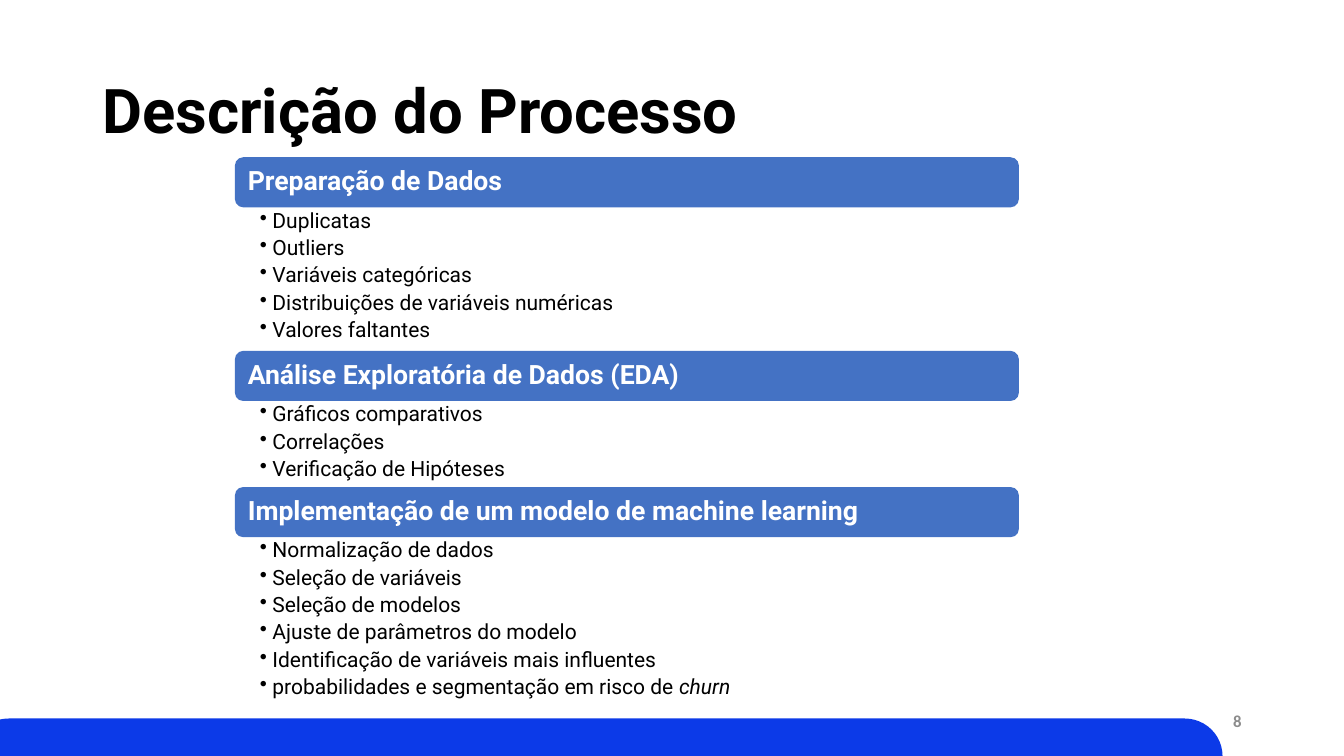
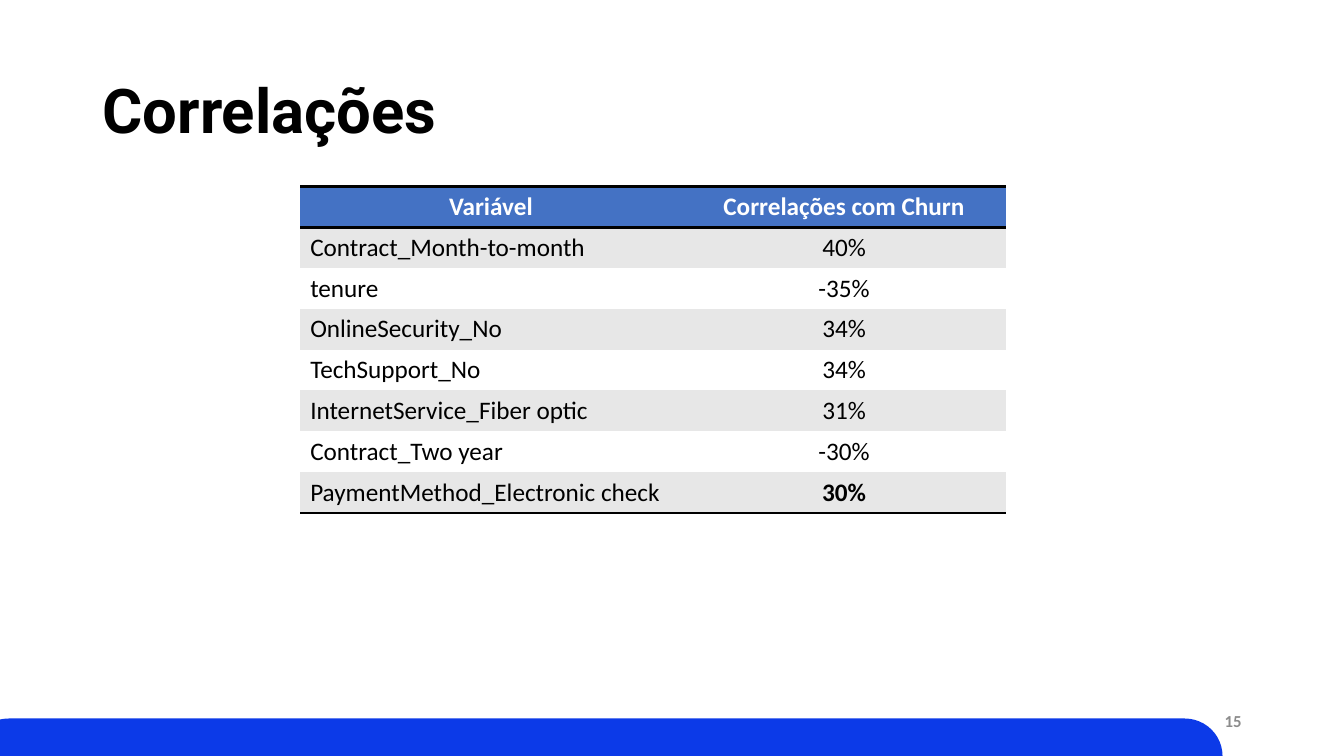
from lxml.etree import SubElement
from pptx import Presentation
from pptx.dml.color import RGBColor
from pptx.enum.shapes import MSO_SHAPE
from pptx.enum.text import MSO_ANCHOR, MSO_AUTO_SIZE, PP_ALIGN
from pptx.oxml import parse_xml
from pptx.oxml.ns import nsdecls, qn
from pptx.util import Pt

BLACK, WHITE, GREY = "000000", "FFFFFF", "8C8C8C"
BAND_BLUE, HEADER_BLUE, ROW_GREY = "0C3AE8", "4472C4", "E7E7E7"
HEADING_FONT, TABLE_FONT = "Roboto", "Calibri"
NO_TABLE_STYLE = "{2D5ABB26-0587-4C30-8999-92F81FD0307C}"

# Each step: heading, then bullets; a bullet is (plain text, italic ending).
STEPS = [
    ("Preparação de Dados", [
        ("Duplicatas", ""),
        ("Outliers", ""),
        ("Variáveis categóricas", ""),
        ("Distribuições de variáveis numéricas", ""),
        ("Valores faltantes", ""),
    ]),
    ("Análise Exploratória de Dados (EDA)", [
        ("Gráficos comparativos", ""),
        ("Correlações", ""),
        ("Verificação de Hipóteses", ""),
    ]),
    ("Implementação de um modelo de machine learning", [
        ("Normalização de dados", ""),
        ("Seleção de variáveis", ""),
        ("Seleção de modelos", ""),
        ("Ajuste de parâmetros do modelo", ""),
        ("Identificação de variáveis mais influentes", ""),
        ("probabilidades e segmentação em risco de ", "churn"),
    ]),
]
CORRELATIONS = [
    ("Variável", "Correlações com Churn"),
    ("Contract_Month-to-month", "40%"),
    ("tenure", "-35%"),
    ("OnlineSecurity_No", "34%"),
    ("TechSupport_No", "34%"),
    ("InternetService_Fiber optic", "31%"),
    ("Contract_Two year", "-30%"),
    ("PaymentMethod_Electronic check", "30%"),
]

STEP_LEFT, STEP_TOP, STEP_WIDTH = 167.8, 112.3, 560
STEP_HEADER_HEIGHT, BULLET_HEIGHT = 35.8, 20.5
TABLE_LEFT, TABLE_TOP, ROW_HEIGHT = 214.4, 133.2, 29.15
COLUMN_WIDTHS = (272.6, 231.8)


def color(hex_code):
    return RGBColor.from_string(hex_code)


def set_font(para, name, size, hex_code, bold=False):
    para.font.name = name
    para.font.size = Pt(size)
    para.font.bold = bold
    para.font.color.rgb = color(hex_code)


def set_margins(frame, left, top, right, bottom):
    frame.margin_left, frame.margin_top = Pt(left), Pt(top)
    frame.margin_right, frame.margin_bottom = Pt(right), Pt(bottom)


def add_round_box(page, left, top, width, height, fill):
    box = page.shapes.add_shape(MSO_SHAPE.ROUNDED_RECTANGLE,
                                Pt(left), Pt(top), Pt(width), Pt(height))
    box.shadow.inherit = False
    box.fill.solid()
    box.fill.fore_color.rgb = color(fill)
    box.line.fill.background()
    return box


def add_text_box(page, left, top, width, height):
    box = page.shapes.add_textbox(Pt(left), Pt(top), Pt(width), Pt(height))
    box.text_frame.word_wrap = True
    return box.text_frame


def add_page(deck, title_text, number):
    """Add a slide with the shared band, title and page number."""
    page = deck.slides.add_slide(deck.slide_layouts[5])
    band = add_round_box(page, -20.9, 513.2, 894.2, 54, BAND_BLUE)
    band.adjustments[0] = 0.5

    title = page.shapes.title
    title.left, title.top, title.width, title.height = Pt(66), Pt(28.8), Pt(828), Pt(104.4)
    title.text_frame.text = title_text
    title.text_frame.auto_size = MSO_AUTO_SIZE.NONE
    title.text_frame.vertical_anchor = MSO_ANCHOR.MIDDLE
    para = title.text_frame.paragraphs[0]
    para.alignment = PP_ALIGN.LEFT
    para.line_spacing = 0.9
    set_font(para, HEADING_FONT, 44, BLACK, bold=True)

    frame = add_text_box(page, 678, 500.5, 216, 28.8)
    frame.vertical_anchor = MSO_ANCHOR.MIDDLE
    para = frame.paragraphs[0]
    para.text = str(number)
    para.alignment = PP_ALIGN.RIGHT
    set_font(para, TABLE_FONT, 12, GREY, bold=True)
    return page


def add_step_header(page, top, heading):
    box = add_round_box(page, STEP_LEFT, top, STEP_WIDTH, STEP_HEADER_HEIGHT, HEADER_BLUE)
    frame = box.text_frame
    frame.vertical_anchor = MSO_ANCHOR.MIDDLE
    set_margins(frame, 7.5, 0, 7.5, 0)
    para = frame.paragraphs[0]
    para.text = heading
    para.alignment = PP_ALIGN.LEFT
    para.line_spacing = 0.9
    set_font(para, HEADING_FONT, 19, WHITE, bold=True)


def add_bullets(page, top, height, bullets):
    frame = add_text_box(page, STEP_LEFT, top, STEP_WIDTH, height)
    set_margins(frame, 17.8, 1.9, 10.8, 1.9)
    for index, (plain, italic) in enumerate(bullets):
        para = frame.add_paragraph() if index else frame.paragraphs[0]
        para.add_run().text = plain
        if italic:
            span = para.add_run()
            span.text = italic
            span.font.italic = True
        para.line_spacing = 0.9
        para.space_after = Pt(3.3)
        set_font(para, HEADING_FONT, 15, BLACK)
        properties = para._p.get_or_add_pPr()
        properties.set("marL", str(Pt(9)))
        properties.set("indent", str(Pt(-9)))
        bullet = SubElement(properties, qn("a:buChar"))
        bullet.set("char", "•")
        properties.find(qn("a:defRPr")).addprevious(bullet)


def add_steps(page):
    top = STEP_TOP
    for heading, bullets in STEPS:
        add_step_header(page, top, heading)
        top += STEP_HEADER_HEIGHT
        height = BULLET_HEIGHT * len(bullets)
        add_bullets(page, top, height, bullets)
        top += height


def add_cell_borders(cell, sides):
    """Draw black 2 pt borders on the given sides, listed as T before B."""
    properties = cell._tc.get_or_add_tcPr()
    for index, side in enumerate(sides):
        properties.insert(index, parse_xml(
            f'<a:ln{side} {nsdecls("a")} w="{Pt(2)}"><a:solidFill>'
            f'<a:srgbClr val="{BLACK}"/></a:solidFill></a:ln{side}>'))


def add_correlation_table(page):
    last = len(CORRELATIONS) - 1
    holder = page.shapes.add_table(
        len(CORRELATIONS), len(COLUMN_WIDTHS), Pt(TABLE_LEFT), Pt(TABLE_TOP),
        Pt(sum(COLUMN_WIDTHS)), Pt(ROW_HEIGHT * len(CORRELATIONS)))
    table = holder.table
    table._tbl.tblPr.find(qn("a:tableStyleId")).text = NO_TABLE_STYLE
    for column, width in zip(table.columns, COLUMN_WIDTHS):
        column.width = Pt(width)
    for row, values in enumerate(CORRELATIONS):
        table.rows[row].height = Pt(ROW_HEIGHT)
        is_header = row == 0
        fill = HEADER_BLUE if is_header else ROW_GREY if row % 2 else WHITE
        sides = "TB" if is_header else "B" if row == last else ""
        for column, value in enumerate(values):
            cell = table.cell(row, column)
            cell.fill.solid()
            cell.fill.fore_color.rgb = color(fill)
            add_cell_borders(cell, sides)
            para = cell.text_frame.paragraphs[0]
            para.text = value
            para.alignment = PP_ALIGN.CENTER if is_header or column else PP_ALIGN.LEFT
            set_font(para, TABLE_FONT, 18, WHITE if is_header else BLACK,
                     bold=is_header or (row == last and column == 1))


def main():
    deck = Presentation()
    deck.slide_width, deck.slide_height = Pt(960), Pt(540)
    add_steps(add_page(deck, "Descrição do Processo", 8))
    add_correlation_table(add_page(deck, "Correlações", 15))
    deck.save("out.pptx")


if __name__ == "__main__":
    main()
